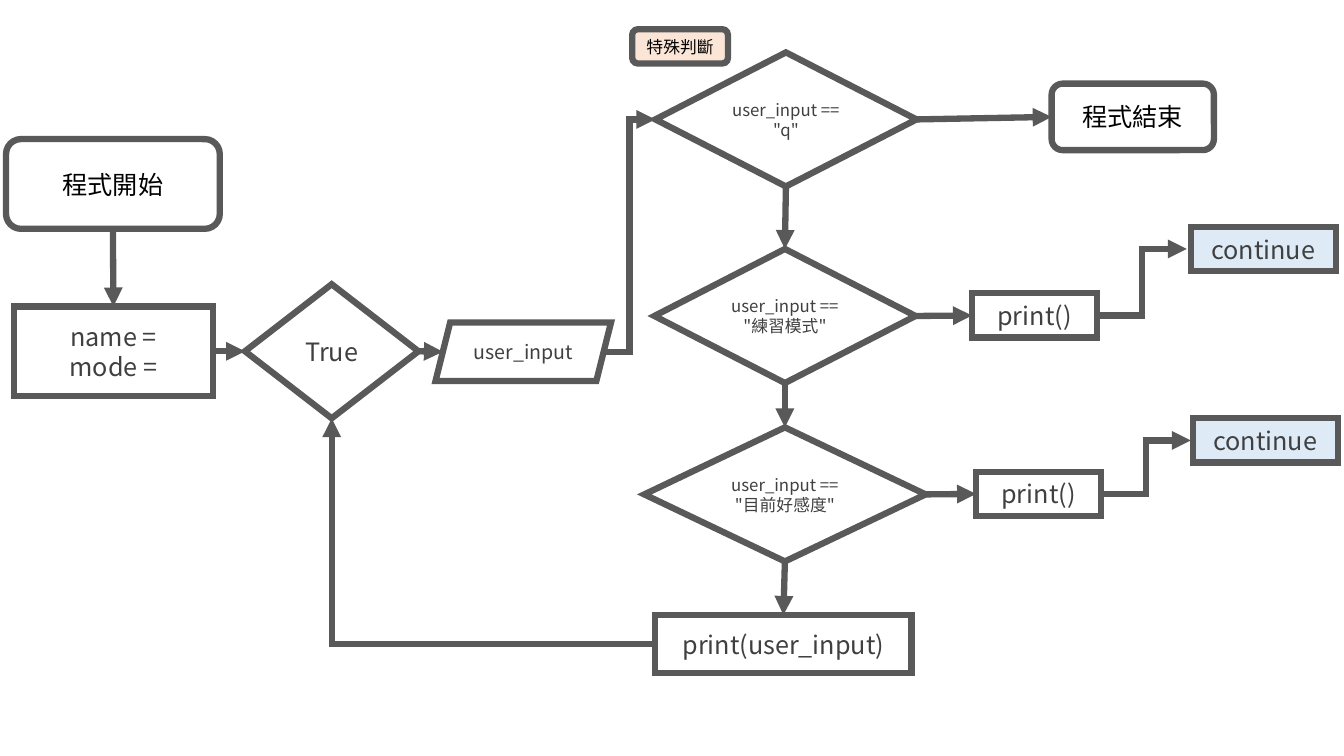
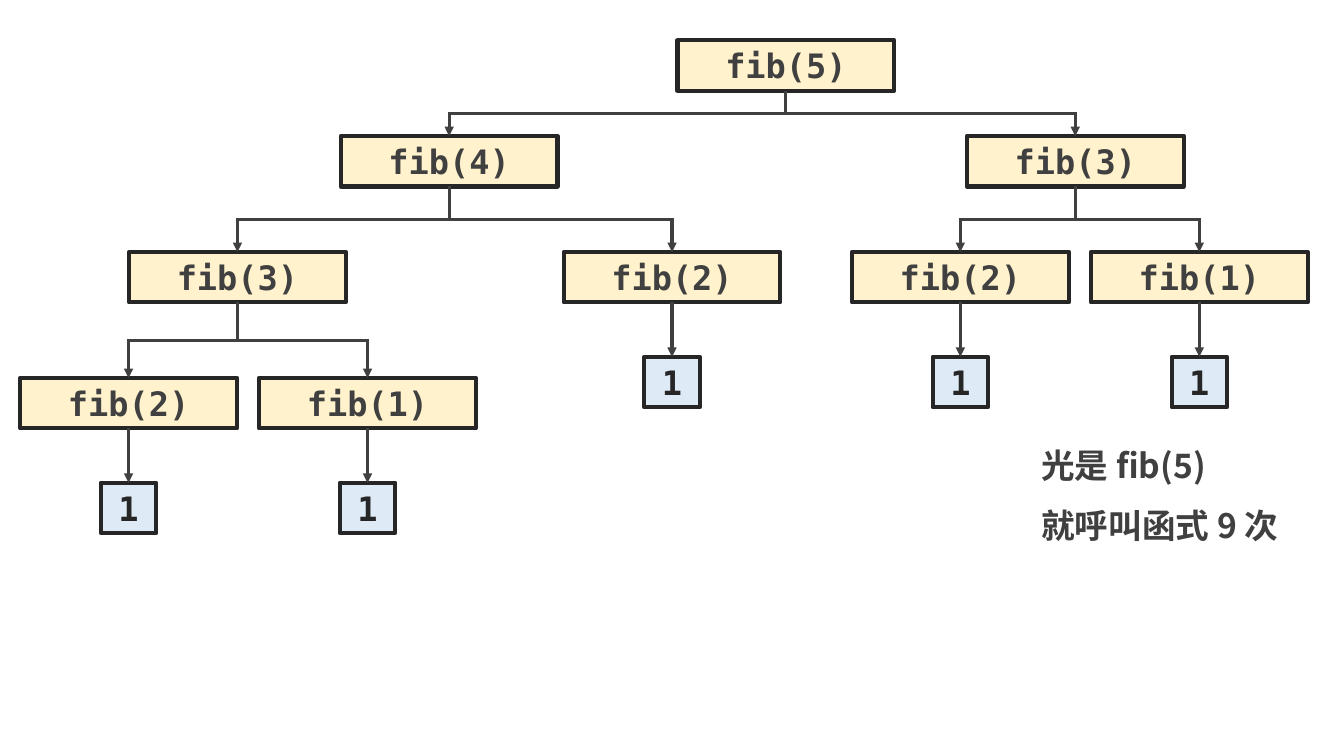
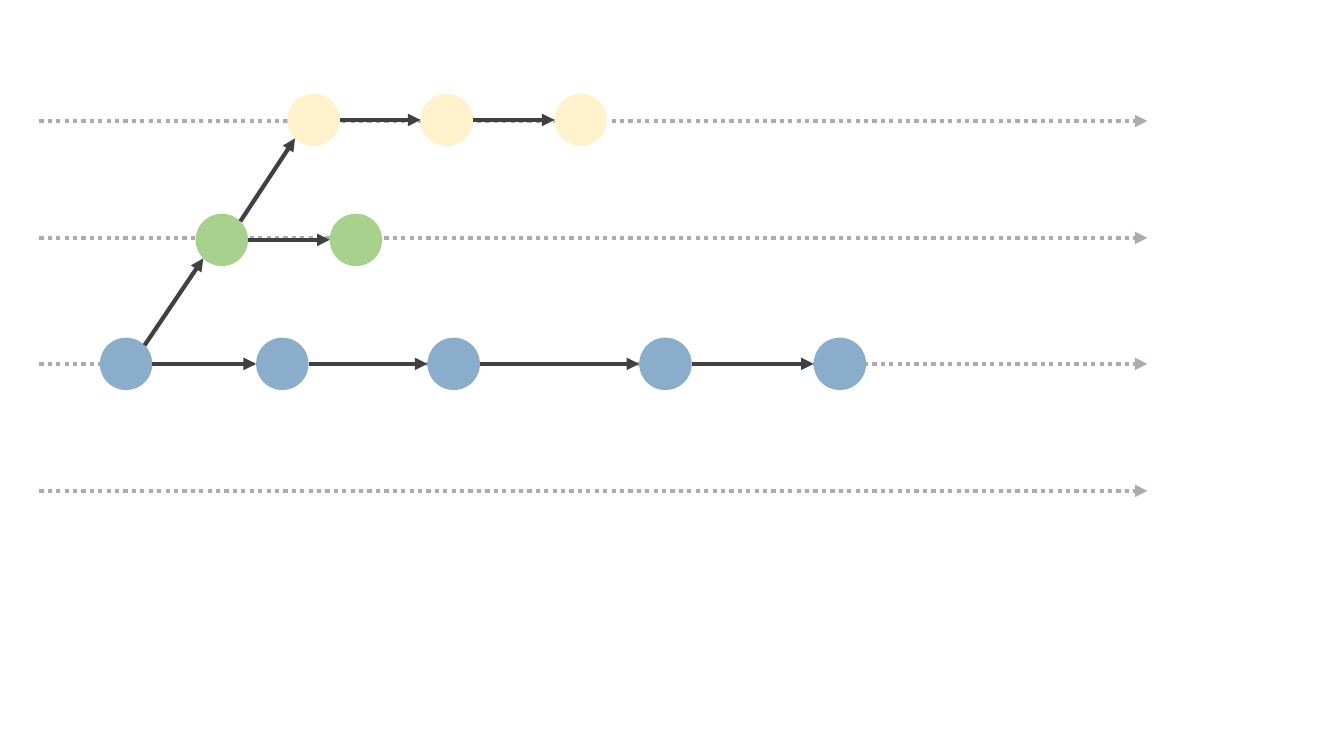
from dataclasses import dataclass, field

from lxml import etree
from pptx import Presentation, util as u
from pptx.dml.color import RGBColor
from pptx.enum import dml, shapes, text
from pptx.oxml.ns import qn

HEX = {
    "edge": "595959", "ink": "404040", "black": "000000", "dark": "262626",
    "white": "FFFFFF", "blue": "DEEBF7", "peach": "FBE5D6", "cream": "FFF2CC",
    "green": "A9D18E", "steel": "8AADCC", "lane": "AFABAB",
}
SANS = "Noto Sans CJK TC"
MONO = "DejaVu Sans Mono"
KIND = shapes.MSO_SHAPE
RECT = KIND.RECTANGLE
ROUND = KIND.ROUNDED_RECTANGLE
TEST = KIND.FLOWCHART_DECISION
INPUT = KIND.PARALLELOGRAM
SIDES = {"left": (0, 0.5), "right": (1, 0.5), "top": (0.5, 0), "base": (0.5, 1)}
Point = tuple[float, float]


@dataclass
class Style:
    font: str = SANS
    size: float = 18
    ink: str = "ink"
    bold: bool = False
    space: float = 1


@dataclass
class Box:
    x: float
    y: float
    w: float
    h: float
    lines: tuple[str, ...] = ()
    fill: str = ""
    kind: int = RECT
    style: Style = field(default_factory=Style)
    edge: str = "edge"
    width: float = 4.5
    miter: bool = True
    middle: bool = True

    def side(self, name: str) -> Point:
        across, down = SIDES[name]
        slant = self.h / 8 if self.kind == INPUT else 0
        return (self.x + across * self.w + slant * (1 - 2 * across),
                self.y + down * self.h)


@dataclass
class Link:
    start: str
    out: str
    end: str
    into: str
    gap: float = 0


@dataclass
class Call:
    num: int
    x: float
    kids: tuple["Call", ...] = ()


@dataclass
class Row:
    y: float
    fill: str
    lefts: tuple[float, ...]


def tint(name: str) -> RGBColor:
    return RGBColor.from_string(HEX[name])


def write(frame, lines: tuple[str, ...], style: Style, align) -> None:
    frame.word_wrap = True
    for i, line in enumerate(lines):
        para = frame.paragraphs[0] if i == 0 else frame.add_paragraph()
        para.alignment = align
        para.line_spacing = style.space
        run = para.add_run()
        run.text = line
        run.font.size = u.Pt(style.size)
        run.font.bold = style.bold
        run.font.color.rgb = tint(style.ink)
        run.font.name = style.font
        props = run.font._element
        etree.SubElement(props, qn("a:ea"), typeface=style.font)


def sharpen(line) -> None:
    etree.SubElement(line._get_or_add_ln(), qn("a:miter"), lim="800000")


def draw(slide, box: Box) -> None:
    shape = slide.shapes.add_shape(
        box.kind, *(u.Inches(v) for v in (box.x, box.y, box.w, box.h)))
    shape.shadow.inherit = False
    if box.fill:
        shape.fill.solid()
        shape.fill.fore_color.rgb = tint(box.fill)
    else:
        shape.fill.background()
    if box.edge:
        shape.line.color.rgb = tint(box.edge)
        shape.line.width = u.Pt(box.width)
        if box.miter:
            sharpen(shape.line)
    else:
        shape.line.fill.background()
    if box.lines:
        anchor = text.MSO_ANCHOR
        shape.text_frame.vertical_anchor = anchor.MIDDLE if box.middle else anchor.TOP
        write(shape.text_frame, box.lines, box.style, text.PP_ALIGN.CENTER)


def arrow(slide, start: Point, end: Point, ink: str, width: float,
          elbow: bool = False, dots: bool = False):
    kind = shapes.MSO_CONNECTOR.ELBOW if elbow else shapes.MSO_CONNECTOR.STRAIGHT
    line = slide.shapes.add_connector(kind, *(u.Inches(v) for v in (*start, *end)))
    line.line.color.rgb = tint(ink)
    line.line.width = u.Pt(width)
    if dots:
        line.line.dash_style = dml.MSO_LINE.ROUND_DOT
    sharpen(line.line)
    etree.SubElement(line.line._get_or_add_ln(), qn("a:tailEnd"), type="triangle")
    etree.SubElement(line.element.spPr, qn("a:effectLst"))
    return line


def drop(slide, start: Point, end: Point, ink: str, width: float) -> None:
    mid_x, mid_y = (start[0] + end[0]) / 2, (start[1] + end[1]) / 2
    run, rise = abs(end[0] - start[0]) / 2, (end[1] - start[1]) / 2
    if run < 0.05:
        arrow(slide, start, end, ink, width)
        return
    turn = 1 if end[0] < start[0] else -1
    line = arrow(slide, (mid_x - turn * rise, mid_y - run),
                 (mid_x + turn * rise, mid_y + run), ink, width, elbow=True)
    line.element.spPr.xfrm.rot = 90 if turn > 0 else 270


def corner(slide, start: Point, end: Point, ink: str, width: float) -> None:
    line = arrow(slide, end, start, ink, width, elbow=True)
    line.element.spPr.find(qn("a:prstGeom")).set("prst", "bentConnector2")
    line.element.spPr.xfrm.rot = 180


def flow(slide) -> None:
    small, black = Style(size=12), Style(ink="black")
    boxes = {
        "start": Box(0.06, 1.38, 2.12, 0.89, ("程式開始",), kind=ROUND, style=black),
        "setup": Box(0.14, 3.04, 1.97, 0.89, ("name =", "mode =")),
        "loop": Box(2.43, 2.82, 1.72, 1.33, ("True",), "white", TEST),
        "input": Box(4.32, 3.2, 1.74, 0.58, ("user_input",), kind=INPUT,
                     style=Style(size=14)),
        "quit": Box(6.5, 0.52, 2.59, 1.33, ('user_input == "q"',), "white", TEST, small),
        "drill": Box(6.49, 2.47, 2.59, 1.33, ('user_input == "練習模式"',), "white",
                     TEST, small),
        "mood": Box(6.39, 4.24, 2.79, 1.33, ('user_input == "目前好感度"',), "white",
                    TEST, small),
        "stop": Box(10.43, 0.83, 1.61, 0.66, ("程式結束",), kind=ROUND, style=black),
        "print1": Box(9.64, 2.91, 1.24, 0.44, ("print()",)),
        "print2": Box(9.68, 4.68, 1.24, 0.44, ("print()",)),
        "next1": Box(11.81, 2.25, 1.44, 0.44, ("continue",), "blue"),
        "next2": Box(11.83, 4.15, 1.44, 0.44, ("continue",), "blue"),
        "echo": Box(6.5, 6.1, 2.54, 0.58, ("print(user_input)",)),
        "note": Box(6.27, 0.29, 0.95, 0.34, ("特殊判斷",), "peach", ROUND,
                    Style(size=12, ink="black")),
    }
    links = [
        Link("start", "base", "setup", "top"),
        Link("setup", "right", "loop", "left"),
        Link("loop", "right", "input", "left"),
        Link("input", "right", "quit", "left"),
        Link("quit", "right", "stop", "left"),
        Link("quit", "base", "drill", "top"),
        Link("drill", "right", "print1", "left"),
        Link("drill", "base", "mood", "top"),
        Link("mood", "right", "print2", "left"),
        Link("mood", "base", "echo", "top"),
        Link("echo", "left", "loop", "base"),
        Link("print1", "right", "next1", "left", 0.04),
        Link("print2", "right", "next2", "left", 0.02),
    ]
    for box in boxes.values():
        draw(slide, box)
    for link in links:
        start = boxes[link.start].side(link.out)
        x, y = boxes[link.end].side(link.into)
        end = (x - link.gap, y)
        if link.out == "base":
            drop(slide, start, end, "edge", 4.5)
        elif link.into == "base":
            corner(slide, start, end, "edge", 4.5)
        else:
            arrow(slide, start, end, "edge", 4.5, elbow=abs(y - start[1]) > 0.1)


def branch(slide, call: Call, tops: tuple[float, ...], depth: int = 0) -> None:
    def cell(x: float, y: float, w: float, word: str, fill: str, ink: str) -> Box:
        return Box(x, y, w, 0.5, (word,), fill, style=Style(MONO, 24, ink, True),
                   edge="dark", width=3, miter=False, middle=False)

    box = cell(call.x, tops[depth], 2.15, f"fib({call.num})", "cream", "ink")
    draw(slide, box)
    start = box.side("base")
    for kid in call.kids:
        branch(slide, kid, tops, depth + 1)
        drop(slide, start, (kid.x + box.w / 2, tops[depth + 1]), "ink", 2.25)
    if not call.kids:
        leaf = cell(start[0] - 0.275, start[1] + 0.54, 0.55, "1", "blue", "dark")
        draw(slide, leaf)
        arrow(slide, start, leaf.side("top"), "ink", 2.25)


def tree(slide) -> None:
    root = Call(5, 6.72, (
        Call(4, 3.38, (
            Call(3, 1.28, (Call(2, 0.2), Call(1, 2.57))),
            Call(2, 5.59))),
        Call(3, 9.59, (Call(2, 8.45), Call(1, 10.82)))))
    branch(slide, root, (0.4, 1.35, 2.5, 3.75))
    note = slide.shapes.add_textbox(*(u.Inches(v) for v in (10.23, 4.16, 2.9, 1.25)))
    write(note.text_frame, ("光是 fib(5)", "就呼叫函式 9 次"),
          Style(size=24, bold=True, space=1.5), text.PP_ALIGN.LEFT)


def lanes(slide) -> None:
    size = 0.52
    rows = [
        Row(3.61, "steel", (0.99, 2.54, 4.24, 6.34, 8.07)),
        Row(2.38, "green", (1.94, 3.27)),
        Row(1.19, "cream", (2.85, 4.17, 5.5)),
    ]
    for y in (1.2, 2.36, 3.61, 4.87):
        arrow(slide, (0.39, y), (11.38, y), "lane", 3, dots=True)
    for row in rows:
        for x in row.lefts:
            draw(slide, Box(x, row.y - size / 2, size, size, fill=row.fill,
                            kind=KIND.OVAL, edge=""))
        for x, after in zip(row.lefts, row.lefts[1:]):
            arrow(slide, (x + size, row.y), (after, row.y), "ink", 3)
    reach = size / 2 * 0.5 ** 0.5
    for low, high in zip(rows, rows[1:]):
        arrow(slide, (low.lefts[0] + size / 2 + reach, low.y - reach),
              (high.lefts[0] + size / 2 - reach, high.y + reach), "ink", 3)


def main() -> None:
    deck = Presentation()
    deck.slide_width, deck.slide_height = u.Inches(13.33), u.Inches(7.5)
    for paint in (flow, tree, lanes):
        paint(deck.slides.add_slide(deck.slide_layouts[6]))
    deck.save("out.pptx")


if __name__ == "__main__":
    main()
